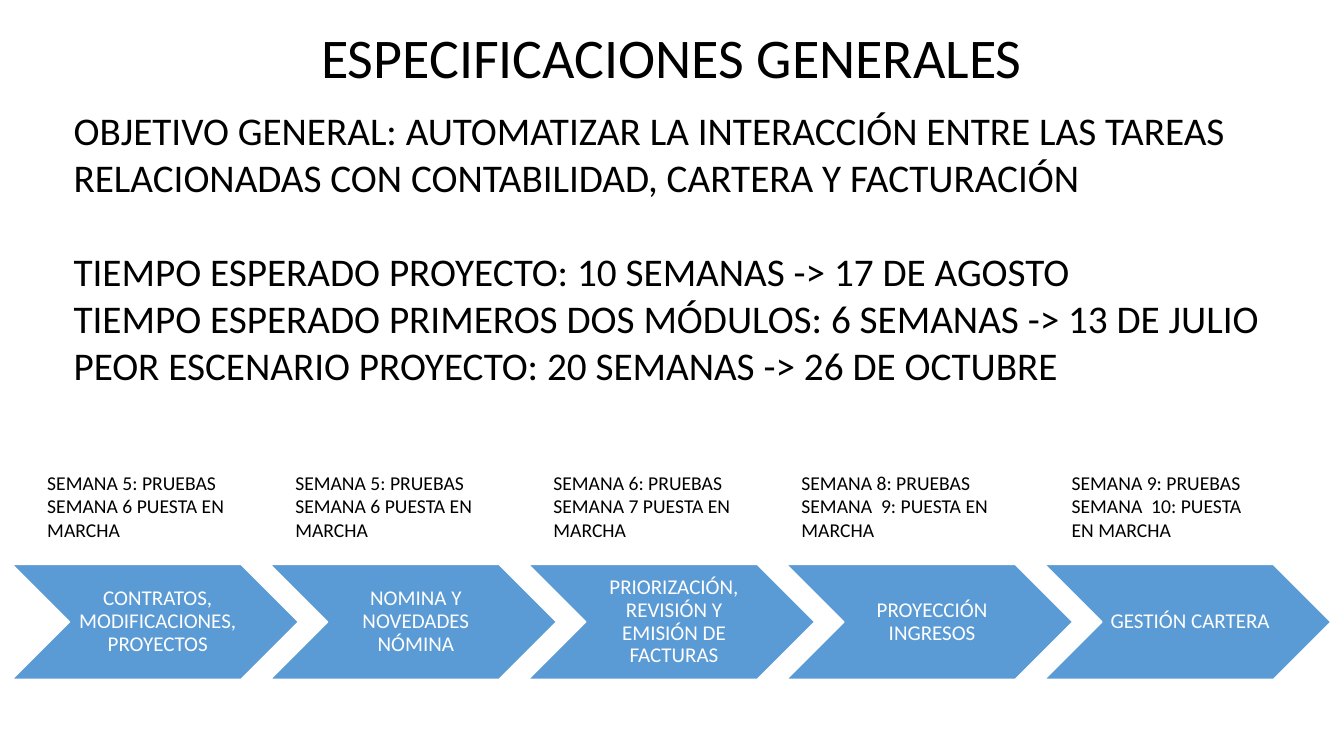
from dataclasses import dataclass

from lxml import etree
from pptx import Presentation
from pptx.dml.color import RGBColor
from pptx.enum.shapes import MSO_SHAPE
from pptx.enum.text import MSO_ANCHOR, MSO_AUTO_SIZE, PP_ALIGN
from pptx.oxml.ns import qn
from pptx.util import Inches, Pt

CHEVRON = MSO_SHAPE.CHEVRON
TOP, MIDDLE = MSO_ANCHOR.TOP, MSO_ANCHOR.MIDDLE
LEFT, CENTER = PP_ALIGN.LEFT, PP_ALIGN.CENTER
NO_FIT = MSO_AUTO_SIZE.NONE


@dataclass(frozen=True)
class Theme:
    font: str = "Calibri"
    text: RGBColor = RGBColor(0x00, 0x00, 0x00)
    light: RGBColor = RGBColor(0xFF, 0xFF, 0xFF)
    accent: RGBColor = RGBColor(0x5B, 0x9B, 0xD5)
    title_size: int = 40
    body_size: int = 28
    step_size: int = 15
    schedule_size: int = 14


THEME = Theme()

TITLE = "ESPECIFICACIONES GENERALES"
OBJECTIVES = [
    "OBJETIVO GENERAL: AUTOMATIZAR LA INTERACCIÓN ENTRE LAS TAREAS "
    "RELACIONADAS CON CONTABILIDAD, CARTERA Y FACTURACIÓN",
    "TIEMPO ESPERADO PROYECTO: 10 SEMANAS -> 17 DE AGOSTO",
    "TIEMPO ESPERADO PRIMEROS DOS MÓDULOS: 6 SEMANAS -> 13 DE JULIO",
    "PEOR ESCENARIO PROYECTO: 20 SEMANAS -> 26 DE OCTUBRE",
]
SECTION_GAP = 34

# Step name, left edge of its schedule, schedule lines
STEPS = [
    ("CONTRATOS, MODIFICACIONES, PROYECTOS", 0.37,
     ["SEMANA 5: PRUEBAS", "SEMANA 6 PUESTA EN MARCHA"]),
    ("NOMINA Y NOVEDADES NÓMINA", 2.83,
     ["SEMANA 5: PRUEBAS", "SEMANA 6 PUESTA EN MARCHA"]),
    ("PRIORIZACIÓN, REVISIÓN Y EMISIÓN DE FACTURAS", 5.39,
     ["SEMANA 6: PRUEBAS", "SEMANA 7 PUESTA EN MARCHA"]),
    ("PROYECCIÓN INGRESOS", 7.85,
     ["SEMANA 8: PRUEBAS", "SEMANA  9: PUESTA EN MARCHA"]),
    ("GESTIÓN CARTERA", 10.53,
     ["SEMANA 9: PRUEBAS", "SEMANA  10: PUESTA EN MARCHA"]),
]
STEP_LEFT, STEP_PITCH = 0.12, 2.56


def set_all(target, values):
    for name, value in values.items():
        setattr(target, name, value)


def place(shape, left, top, width, height):
    set_all(shape, {"left": Inches(left), "top": Inches(top),
                    "width": Inches(width), "height": Inches(height)})


def write(shape, lines, size, color=THEME.text, align=LEFT, anchor=TOP,
          line_spacing=1.0):
    """Fill a shape with one formatted paragraph per line."""
    frame = shape.text_frame
    set_all(frame, {"word_wrap": True, "auto_size": NO_FIT,
                    "vertical_anchor": anchor})
    frame.text = "\n".join(lines)
    for para in frame.paragraphs:
        set_all(para, {"alignment": align, "line_spacing": line_spacing,
                       "space_before": Pt(0), "space_after": Pt(0)})
        set_all(para.runs[0].font, {"name": THEME.font, "size": Pt(size)})
        para.runs[0].font.color.rgb = color


def remove_bullet(para):
    properties = para._p.get_or_add_pPr()
    properties.set("marL", "0")
    properties.set("indent", "0")
    etree.SubElement(properties, qn("a:buNone"))


def add_title(slide):
    title = slide.shapes.title
    place(title, 0.75, 0.17, 11.82, 0.77)
    write(title, [TITLE], THEME.title_size, align=CENTER)


def add_objectives(slide):
    body = slide.placeholders[1]
    place(body, 0.63, 1, 12.15, 2.93)
    write(body, OBJECTIVES, THEME.body_size)
    paragraphs = body.text_frame.paragraphs
    paragraphs[1].space_before = Pt(SECTION_GAP)
    for para in paragraphs:
        remove_bullet(para)


def add_step(slide, left, name):
    step = slide.shapes.add_shape(CHEVRON, 0, 0, 0, 0)
    place(step, left, 5.6, 2.84, 1.14)
    step.shadow.inherit = False
    step.fill.solid()
    step.fill.fore_color.rgb = THEME.accent
    step.line.color.rgb = THEME.light
    step.line.width = Pt(1)
    write(step, [name], THEME.step_size, THEME.light, CENTER, MIDDLE, 0.9)
    set_all(step.text_frame, {
        "margin_left": Inches(0.07), "margin_right": Inches(0.02),
        "margin_top": Inches(0.02), "margin_bottom": Inches(0.02)})


def add_schedule(slide, left, lines):
    box = slide.shapes.add_textbox(0, 0, 0, 0)
    place(box, left, 4.62, 2.12, 0.81)
    write(box, lines, THEME.schedule_size)


def main():
    deck = Presentation()
    set_all(deck, {"slide_width": Inches(13.33), "slide_height": Inches(7.5)})
    slide = deck.slides.add_slide(deck.slide_layouts[1])
    add_title(slide)
    add_objectives(slide)
    for index, (name, schedule_left, schedule) in enumerate(STEPS):
        add_step(slide, STEP_LEFT + index * STEP_PITCH, name)
        add_schedule(slide, schedule_left, schedule)
    deck.save("out.pptx")


if __name__ == "__main__":
    main()
